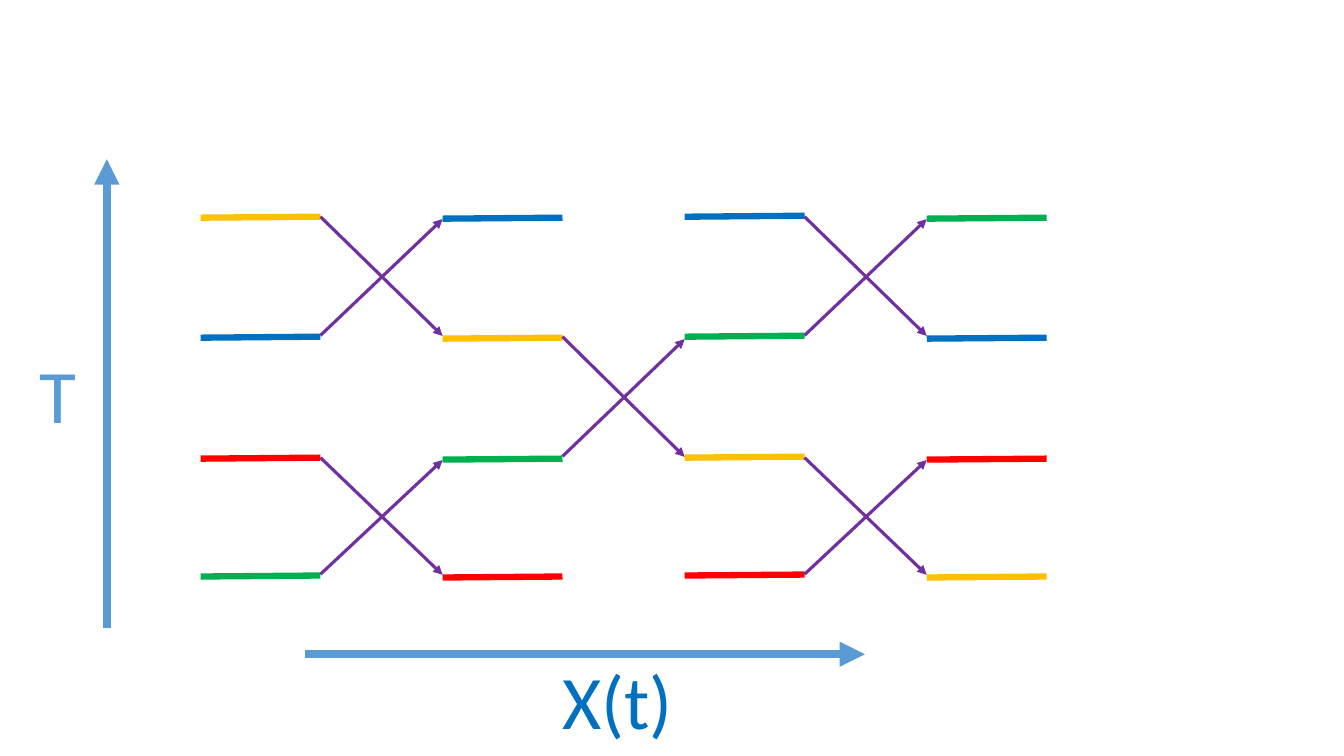
from lxml import etree
from pptx import Presentation
from pptx import util as u
from pptx.dml.color import RGBColor
from pptx.enum import shapes, text
from pptx.oxml.ns import qn

COLORS = {"axis": "5B9BD5", "arrow": "7030A0", "yellow": "FFC000",
          "blue": "0070C0", "red": "FF0000", "green": "00B050"}

# Replicas from top to bottom, then the upper rows of the pairs swapped at each step
START = ["yellow", "blue", "red", "green"]
SWAPS = [(0, 2), (1,), (0, 2)]

AXES = [((76.3, 448.6), (76.3, 113.8)), ((218.2, 467.3), (617.8, 467.3))]
LABELS = [("T", "axis", (20.9, 244.8, 41, 72.7)),
          ("X(t)", "blue", (393.8, 463.7, 94.3, 72.7))]

LEFT, PITCH, BAR = 143.3, 172.9, 85.6
ROWS = [155.5, 241.2, 327.6, 411.8]
TILT = 0.7                       # each bar rises slightly to the right
SHIFTS = [0, 0.7, -0.7, 0.7]     # vertical shift of each column
DOWN, UP = (-0.7, -1.2), (-1.6, 1)   # arrow end offsets from the rows


def add_line(s, start, end, color, width, arrow=False):
    """Draw a straight line, with an arrowhead at its end if asked."""
    sp = s.shapes.add_connector(shapes.MSO_CONNECTOR.STRAIGHT,
                                *(u.Pt(v) for v in (*start, *end)))
    sp.line.color.rgb = RGBColor.from_string(COLORS[color])
    sp.line.width = u.Pt(width)
    if arrow:
        etree.SubElement(sp.line._get_or_add_ln(), qn("a:tailEnd"), type="triangle")
    etree.SubElement(sp._element.spPr, qn("a:effectLst"))


def add_label(s, label, color, box):
    """Write a large centred axis label."""
    tf = s.shapes.add_textbox(*(u.Pt(v) for v in box)).text_frame
    tf.word_wrap = False
    tf.auto_size = text.MSO_AUTO_SIZE.SHAPE_TO_FIT_TEXT
    p = tf.paragraphs[0]
    p.alignment = text.PP_ALIGN.CENTER
    r = p.add_run()
    r.text = label
    for name, value in {"name": "Calibri", "size": u.Pt(54)}.items():
        setattr(r.font, name, value)
    r.font.color.rgb = RGBColor.from_string(COLORS[color])


def add_column(s, col, order):
    """Draw one bar for each replica in the given order."""
    x = LEFT + col * PITCH
    for row, color in zip(ROWS, order):
        y = row + SHIFTS[col]
        add_line(s, (x, y), (x + BAR, y - TILT), color, 4.5)


def add_swap(s, col, i):
    """Cross two arrows between rows i and i + 1 after a column."""
    x1, x2 = LEFT + col * PITCH + BAR, LEFT + (col + 1) * PITCH
    for a, b, (d1, d2) in ((i, i + 1, DOWN), (i + 1, i, UP)):
        add_line(s, (x1, ROWS[a] + d1), (x2, ROWS[b] + d2), "arrow", 2.25, True)


prs = Presentation()
prs.slide_width, prs.slide_height = u.Pt(960), u.Pt(540)
s = prs.slides.add_slide(prs.slide_layouts[6])

for start, end in AXES:
    add_line(s, start, end, "axis", 6, True)
for label in LABELS:
    add_label(s, *label)

order = list(START)
add_column(s, 0, order)
for col, pairs in enumerate(SWAPS):
    for i in pairs:
        add_swap(s, col, i)
        order[i], order[i + 1] = order[i + 1], order[i]
    add_column(s, col + 1, order)

prs.save("out.pptx")
